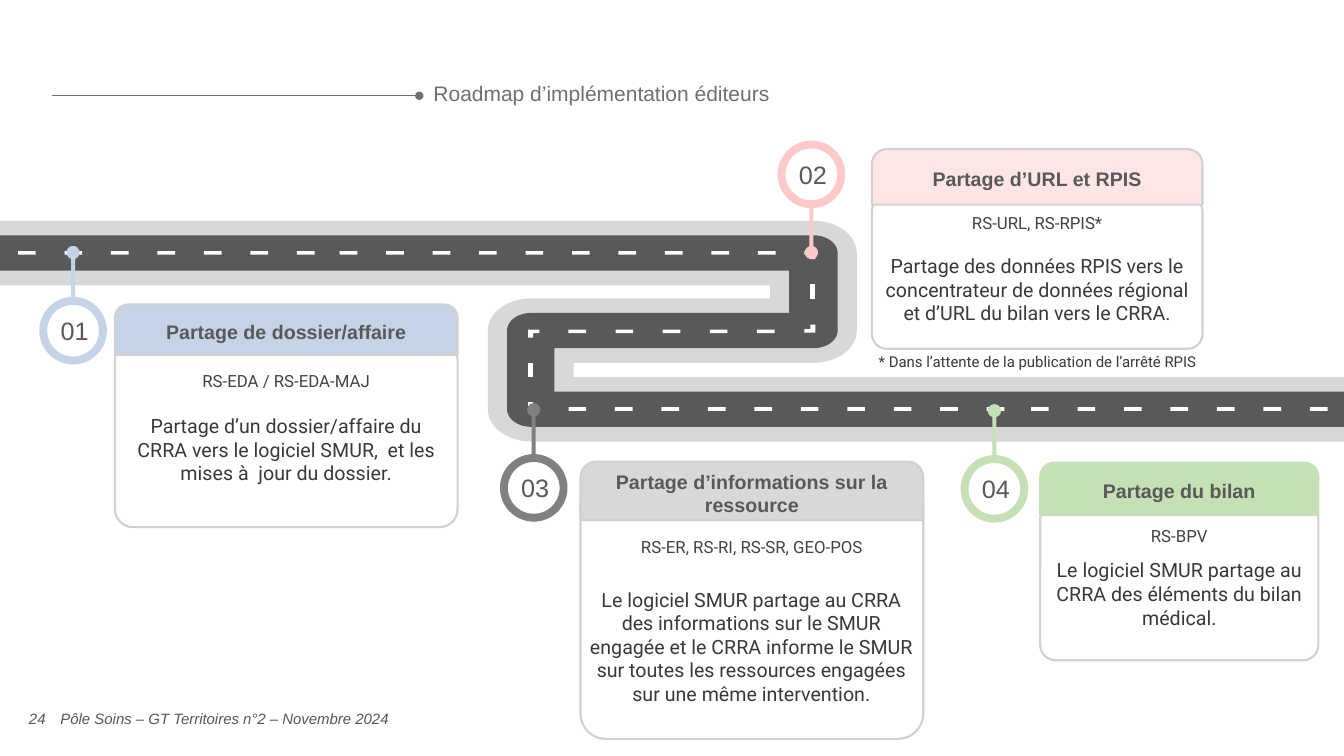
"""Build the roadmap slide: a winding road with four numbered milestones."""
from math import asin, cos, degrees, radians, sin
from typing import NamedTuple

from lxml.etree import SubElement
from pptx import Presentation
from pptx.dml.color import RGBColor
from pptx.enum.shapes import MSO_CONNECTOR as Connector, MSO_SHAPE as Preset
from pptx.enum.text import MSO_ANCHOR as Anchor, MSO_AUTO_SIZE as AutoSize, PP_ALIGN as Align
from pptx.oxml.ns import qn
from pptx.slide import Slide
from pptx.text.text import TextFrame
from pptx.util import Emu, Pt

COLUMNS, ROWS, CELL = 1333.33, 750, 9144
BORDER, WHITE, INK, SLATE, BODY_INK = "D1D1D1", "FFFFFF", "595959", "6F7072", "3B3838"
HEAD_DISTANCE = 77.5
Point = tuple[float, float]

class Box(NamedTuple):
    left: float
    top: float
    width: float
    height: float

class Style(NamedTuple):
    size: float
    font: str
    color: str
    bold: bool = False
    italic: bool = False
    align: Align = Align.CENTER

class Dashes(NamedTuple):
    left: float
    top: float
    count: int = 1
    step: float = 46.1
    width: float = 17.5
    height: float = 3.5

class Bend(NamedTuple):
    x: float
    y: float
    right: int
    down: int

class Milestone(NamedTuple):
    number: str
    pin: Point
    side: int
    pin_color: str
    header_color: str
    header_border: str
    header: Box
    title: str
    card: Box
    messages_top: float
    messages: str
    summary_box: Box
    summary: str

TITLE = Style(15, "Arial", SLATE, align=Align.LEFT)
HEADER = Style(14, "Arial", INK, bold=True)
NUMBER = Style(18, "Arial", INK)
MESSAGES = Style(12, "Roboto", "434343")
SUMMARY = Style(14, "Roboto", BODY_INK)
NOTE = Style(10.7, "Roboto", BODY_INK)
PAGE = Style(10.7, "Arial", "575757", italic=True)
FOOTER = Style(10.7, "Arial", "575757", italic=True, align=Align.LEFT)

LANE_MARKS = [
    Dashes(18, 249, 7), Dashes(337, 249, 10), Dashes(564, 327, 5, 46.75),
    Dashes(564, 404, 10), Dashes(1023, 404, 7),
    Dashes(524, 360, width=5, height=14.5), Dashes(804, 282, width=5, height=14.5),
]
BENDS = [Bend(524, 407, 1, -1), Bend(524, 327, 1, 1), Bend(809, 330, -1, -1), Bend(809, 249, -1, 1)]

MILESTONES = [
    Milestone("01", (72.5, 250.5), 1, "C4D4E6", "C4D4E6", BORDER,
              Box(114, 302, 340, 50), "Partage de dossier/affaire",
              Box(114, 339, 340, 184), 368, "RS-EDA / RS-EDA-MAJ", Box(114, 406, 340, 81),
              "Partage d’un dossier/affaire du CRRA vers le logiciel SMUR,  et les mises à  jour du dossier."),
    Milestone("02", (805, 250.5), -1, "FFC9C9", "FFE6E6", BORDER,
              Box(865, 148, 328, 55), "Partage d’URL et RPIS",
              Box(865, 195, 328, 151), 211, "RS-URL, RS-RPIS*", Box(865, 247, 328, 81),
              "Partage des données RPIS vers le concentrateur de données régional "
              "et d’URL du bilan vers le CRRA."),
    Milestone("03", (529.5, 406.5), 1, "808080", "D8D8D8", BORDER,
              Box(576, 458, 340, 58), "Partage d’informations sur la ressource",
              Box(576, 475, 340, 258), 533, "RS-ER, RS-RI, RS-SR, GEO-POS", Box(575, 578, 341, 128),
              "Le logiciel SMUR partage au CRRA des informations sur le SMUR engagée et le CRRA "
              "informe le SMUR sur toutes les ressources engagées sur une même intervention."),
    Milestone("04", (986.5, 407.5), 1, "C5E0B4", "C5E0B4", "C5E0B4",
              Box(1032, 459, 276, 52), "Partage du bilan",
              Box(1032, 500, 276, 155), 522, "RS-BPV", Box(1032, 549, 276, 81),
              "Le logiciel SMUR partage au CRRA des éléments du bilan médical."),
]

def cells(count: float) -> Emu:
    return Emu(round(count * CELL))

def rgb(color: str) -> RGBColor:
    return RGBColor.from_string(color)

def arc(center: Point, radii: Point, start: float, end: float, steps: int = 12) -> list[Point]:
    angles = [radians(start + (end - start) * i / steps) for i in range(steps + 1)]
    return [(center[0] + radii[0] * cos(a), center[1] + radii[1] * sin(a)) for a in angles]

def write(frame: TextFrame, text: str, style: Style, anchor: Anchor = Anchor.TOP) -> None:
    frame.text = text
    frame.word_wrap, frame.auto_size, frame.vertical_anchor = True, AutoSize.NONE, anchor
    paragraph = frame.paragraphs[0]
    paragraph.alignment = style.align
    font = paragraph.runs[0].font
    font.size, font.name, font.bold, font.italic = Pt(style.size), style.font, style.bold, style.italic
    font.color.rgb = rgb(style.color)

def add_text(slide: Slide, box: Box, text: str, style: Style,
             anchor: Anchor = Anchor.TOP, inset: bool = True) -> None:
    frame = slide.shapes.add_textbox(*map(cells, box)).text_frame
    write(frame, text, style, anchor)
    if not inset:
        frame.margin_left = frame.margin_right = frame.margin_top = frame.margin_bottom = 0

def add_outline(slide: Slide, contours: list[list[Point]], color: str) -> None:
    scaled = [[(cells(x), cells(y)) for x, y in contour] for contour in contours]
    builder = slide.shapes.build_freeform(*scaled[0][0], scale=1.0)
    for index, contour in enumerate(scaled):
        if index:
            builder.move_to(*contour[0])
        builder.add_line_segments(contour[1:], close=True)
    outline = builder.convert_to_shape()
    outline.shadow.inherit = False
    outline.fill.solid()
    outline.fill.fore_color.rgb = rgb(color)
    outline.line.fill.background()

def add_road(slide: Slide, dx: float, dy: float, color: str) -> None:
    radii = (43 - dx, 32 - dy)
    add_outline(slide, [[
        (0, 219 + dy), (0, 283 - dy), (764 + dx, 283 - dy), (764 + dx, 296 + dy),
        *arc((527, 328), radii, 270, 180), *arc((527, 406), radii, 180, 90),
        (COLUMNS, 438 - dy), (COLUMNS, 374 + dy), (569 - dx, 374 + dy), (569 - dx, 360 - dy),
        *arc((807, 328), radii, 90, 0), *arc((807, 251), radii, 0, -90)]], color)

def add_dashes(slide: Slide, row: Dashes) -> None:
    lefts = [row.left + i * row.step for i in range(row.count)]
    bottom = row.top + row.height
    add_outline(slide, [[(x, row.top), (x, bottom), (x + row.width, bottom), (x + row.width, row.top)]
                        for x in lefts], WHITE)

def add_bend(slide: Slide, bend: Bend) -> None:
    corner = [(0, 0), (11, 0), (11, 3.5), (5, 3.5), (5, 8), (0, 8)]
    add_outline(slide, [[(bend.x + x * bend.right, bend.y + y * bend.down) for x, y in corner]], WHITE)

def add_pin(slide: Slide, mark: Milestone) -> None:
    ring, hole, dot, stem, head = 33.5, 25.7, 6.5, 2, (0, HEAD_DISTANCE)
    ring_gap, dot_gap = degrees(asin(stem / ring)), degrees(asin(stem / dot))
    contours = [arc(head, (ring, ring), ring_gap - 90, 270 - ring_gap, 60)
                + arc((0, 0), (dot, dot), 90 + dot_gap, 450 - dot_gap, 24),
                arc(head, (hole, hole), 360, 0, 60)]
    x0, y0 = mark.pin
    add_outline(slide, [[(x0 + x, y0 + y * mark.side) for x, y in c] for c in contours], mark.pin_color)

def add_panel(slide: Slide, preset: Preset, box: Box, corners: list[float],
              fill: str, border: str) -> TextFrame:
    panel = slide.shapes.add_shape(preset, *map(cells, box))
    for index, corner in enumerate(corners):
        panel.adjustments[index] = corner
    panel.shadow.inherit = False
    panel.fill.solid()
    panel.fill.fore_color.rgb = rgb(fill)
    panel.line.color.rgb, panel.line.width = rgb(border), Pt(1.5)
    return panel.text_frame

def add_milestone(slide: Slide, mark: Milestone) -> None:
    add_pin(slide, mark)
    x, y = mark.pin
    add_text(slide, Box(x - 28.5, y + HEAD_DISTANCE * mark.side - 19.5, 60, 39),
             mark.number, NUMBER, Anchor.MIDDLE)
    card = add_panel(slide, Preset.ROUNDED_RECTANGLE, mark.card, [0.097], WHITE, BORDER)
    write(card, mark.messages, MESSAGES)
    card.margin_top = cells(mark.messages_top - mark.card.top - 0.03 * mark.card.height)
    header = add_panel(slide, Preset.ROUND_2_SAME_RECTANGLE, mark.header, [0.267, 0],
                       mark.header_color, mark.header_border)
    write(header, mark.title, HEADER, Anchor.MIDDLE)
    add_text(slide, mark.summary_box, mark.summary, SUMMARY)

def add_heading(slide: Slide) -> None:
    heading = slide.shapes.title
    heading.left, heading.top, heading.width, heading.height = map(cells, Box(420, 78, 772, 33))
    write(heading.text_frame, "Roadmap d’implémentation éditeurs", TITLE)
    heading.text_frame.paragraphs[0].line_spacing = 0.9
    leader = slide.shapes.add_connector(Connector.STRAIGHT, *map(cells, (52, 95, 416, 95)))
    leader.line.color.rgb, leader.line.width = rgb(SLATE), Pt(0.5)
    SubElement(leader.line._get_or_add_ln(), qn("a:tailEnd"), type="oval")
    SubElement(leader._element.spPr, qn("a:effectLst"))

def main() -> None:
    deck = Presentation()
    deck.slide_width, deck.slide_height = cells(COLUMNS), cells(ROWS)
    slide = deck.slides.add_slide(deck.slide_layouts[5])
    add_heading(slide)
    add_road(slide, 0, 0, "D8D8D8")
    add_road(slide, 19, 14.5, INK)
    for add_part, parts in ((add_dashes, LANE_MARKS), (add_bend, BENDS), (add_milestone, MILESTONES)):
        for part in parts:
            add_part(slide, part)
    add_text(slide, Box(853, 345, 353, 28), "* Dans l’attente de la publication de l’arrêté RPIS", NOTE)
    add_text(slide, Box(16, 693, 42, 40), "24", PAGE, Anchor.MIDDLE, inset=False)
    add_text(slide, Box(60, 693, 1010, 40), "Pôle Soins – GT Territoires n°2 – Novembre 2024",
             FOOTER, Anchor.MIDDLE, inset=False)
    deck.save("out.pptx")

if __name__ == "__main__":
    main()
